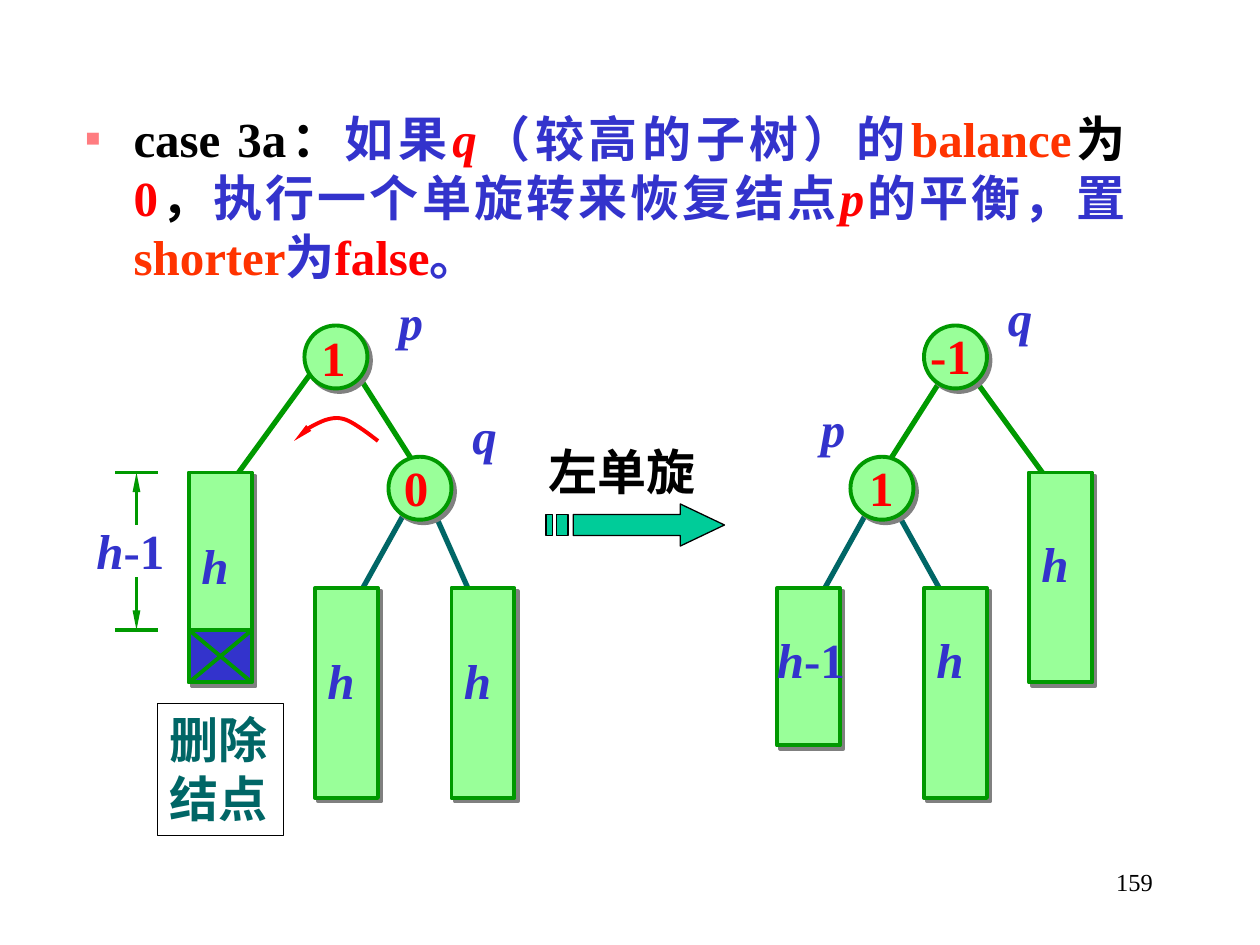
from lxml.etree import SubElement
from pptx import Presentation
from pptx.dml.color import RGBColor
from pptx.enum.shapes import MSO_CONNECTOR, MSO_SHAPE
from pptx.enum.text import MSO_ANCHOR, MSO_AUTO_SIZE, PP_ALIGN
from pptx.oxml.ns import qn
from pptx.util import Inches, Pt

COLORS = {
    "black": "000000", "blue": "3333CC", "red": "FF0000", "orange": "FF3300",
    "teal": "006666", "green": "009900", "leaf": "99FF99", "arrow": "00CC99",
    "bullet": "FF7C80", "shadow": "808080",
}
FONT = "Times New Roman"
NODE = 6  # width of nodes and subtrees in grid cells


def cell(count):
    """Length of a number of grid cells, twelve to the inch."""
    return Inches(count / 12)


def color(name):
    return RGBColor.from_string(COLORS[name])


def add_run(para, text, tint, italic=False, bold=True, size=28):
    span = para.add_run()
    span.text = text
    font = span.font
    font.name, font.size, font.bold, font.italic = FONT, Pt(size), bold, italic
    font.color.rgb = color(tint)


def style_line(line, tint, width):
    line.color.rgb = color(tint)
    line.width = Pt(width)


def add_arrowhead(shape, end):
    outline = shape.line._get_or_add_ln()
    SubElement(outline, qn(f"a:{end}"), type="triangle", w="sm", len="lg")


def add_line(slide, start, finish, tint="green", width=2.25, end=None):
    line = slide.shapes.add_connector(
        MSO_CONNECTOR.STRAIGHT, *map(cell, start + finish))
    style_line(line.line, tint, width)
    SubElement(line._element.spPr, qn("a:effectLst"))
    if end:
        add_arrowhead(line, end)


def add_block(slide, kind, left, top, height, fill="leaf"):
    block = slide.shapes.add_shape(
        kind, cell(left), cell(top), cell(NODE), cell(height))
    block.fill.solid()
    block.fill.fore_color.rgb = color(fill)
    style_line(block.line, "green", 2.25)
    # Solid shadow to the lower right
    block.shadow.inherit = False
    effects = block._element.spPr.find(qn("a:effectLst"))
    shadow = SubElement(effects, qn("a:outerShdw"), dist=str(Pt(2.8)),
                        dir=str(45 * 60000), algn="ctr", rotWithShape="0")
    SubElement(shadow, qn("a:srgbClr"), val=COLORS["shadow"])


def add_label(slide, left, top, width, runs, height=6.8, wrap=True):
    box = slide.shapes.add_textbox(
        cell(left), cell(top), cell(width), cell(height))
    frame = box.text_frame
    frame.word_wrap = wrap
    frame.auto_size = MSO_AUTO_SIZE.SHAPE_TO_FIT_TEXT
    for run in runs:
        add_run(frame.paragraphs[0], *run)
    return box


def add_outline(slide, contours, closed):
    """Freeform through one or more contours given in grid cells."""
    builder = None
    for contour in contours:
        points = [(cell(x), cell(y)) for x, y in contour]
        if builder is None:
            builder = slide.shapes.build_freeform(*points[0])
        else:
            builder.move_to(*points[0])
        builder.add_line_segments(points[1:], close=closed)
    shape = builder.convert_to_shape()
    shape.shadow.inherit = False
    return shape


def curve_points(controls, steps=8):
    """Sample a chain of cubic curves."""
    points = [controls[0]]
    for first in range(0, len(controls) - 1, 3):
        a, b, c, d = controls[first:first + 4]
        for step in range(1, steps + 1):
            t = step / steps
            u = 1 - t
            points.append(tuple(
                u**3 * a[i] + 3 * u * u * t * b[i] + 3 * u * t * t * c[i] + t**3 * d[i]
                for i in (0, 1)))
    return points


def add_statement(slide):
    slide.shapes.title._element.getparent().remove(slide.shapes.title._element)
    body = slide.placeholders[1]
    body.left, body.top, body.width, body.height = map(
        Inches, (0.58, 0.81, 8.45, 1.51))
    frame = body.text_frame
    frame.auto_size = MSO_AUTO_SIZE.NONE
    frame.vertical_anchor = MSO_ANCHOR.TOP
    para = frame.paragraphs[0]
    para.alignment = PP_ALIGN.JUSTIFY
    para.space_before = Pt(0)
    # Square bullet with a hanging indent
    settings = para._p.get_or_add_pPr()
    settings.set("marL", str(Inches(0.38)))
    settings.set("indent", str(Inches(-0.38)))
    SubElement(SubElement(settings, qn("a:buClr")), qn("a:srgbClr"),
               val=COLORS["bullet"])
    SubElement(settings, qn("a:buSzPct"), val="50000")
    SubElement(settings, qn("a:buChar"), char="■")
    for run in [
        ("case 3a：", "black"), ("如果", "blue"), ("q", "red", True),
        ("（较高的子树）的", "blue"), ("balance", "orange"), ("为", "black"),
        ("0", "red"), ("，", "black"), ("执行一个单旋转来恢复结点", "blue"),
        ("p", "red", True), ("的平衡，置", "blue"), ("shorter", "orange"),
        ("为", "blue"), ("false", "red"), ("。", "blue"),
    ]:
        add_run(para, *run)


def add_tree(slide, edges, subtrees, nodes, names):
    for start, finish, tint in edges:
        add_line(slide, start, finish, tint, 3)
    for left, top, height in subtrees:
        add_block(slide, MSO_SHAPE.RECTANGLE, left, top, height)
    for left, top, balance, text_left, text_top in nodes:
        add_block(slide, MSO_SHAPE.OVAL, left, top, NODE)
        add_label(slide, text_left, text_top, 5 + 2 * len(balance),
                  [(balance, "red")])
    for left, top, name in names:
        add_label(slide, left, top, 6.2, [(name, "blue", True)])


def add_height(slide, left, top, suffix=""):
    runs = [("h", "blue", True)] + ([(suffix, "blue")] if suffix else [])
    add_label(slide, left, top, 10 if suffix else 5, runs)


def add_deletion(slide):
    # Crossed-out part of the left subtree
    add_block(slide, MSO_SHAPE.RECTANGLE, 18, 60, 5, "blue")
    add_line(slide, (24, 60), (18, 65))
    add_line(slide, (18, 60), (24, 65))
    # Height marker
    for level in (45, 60):
        add_line(slide, (11, level), (15, level))
    add_line(slide, (13, 45), (13, 50), end="headEnd")
    add_line(slide, (13, 55), (13, 60), end="tailEnd")
    note = add_label(slide, 15, 67, 12, [("删除结点", "teal")], 12.6)
    style_line(note.line, "black", 0.75)


def add_rotation(slide):
    head = [(64.8, 48), (64.8, 49), (54.6, 49), (54.6, 51),
            (64.8, 51), (64.8, 52), (69, 50)]
    stripes = [[(a, 49), (a, 51), (b, 51), (b, 49)]
               for a, b in ((53, 54.1), (52, 52.6))]
    arrow = add_outline(slide, [head] + stripes, True)
    arrow.fill.solid()
    arrow.fill.fore_color.rgb = color("arrow")
    style_line(arrow.line, "black", 0.75)
    add_label(slide, 51.1, 41.5, 16.4, [("左单旋", "black")], wrap=False)
    # Curved turn arrow under the root
    turn = add_outline(slide, [curve_points([
        (28, 42), (28.2, 41.6), (28.6, 41.3), (29, 41), (29.5, 40.7),
        (30.4, 40.2), (31, 40), (31.7, 39.8), (32.2, 39.7), (33, 40),
        (33.8, 40.3), (35.5, 41.6), (36, 42)])], False)
    turn.fill.background()
    style_line(turn.line, "red", 2.25)
    add_arrowhead(turn, "headEnd")


def main():
    deck = Presentation()
    deck.slide_width, deck.slide_height = Inches(10), Inches(7.5)
    slide = deck.slides.add_slide(deck.slide_layouts[1])
    add_statement(slide)

    # Tree before the rotation
    add_tree(slide,
             [((41, 48), (45, 57), "teal"), ((39, 48), (34, 57), "teal"),
              ((33, 34), (40, 45), "green"), ((30, 35), (22, 46), "green")],
             [(18, 45, 20), (30, 56, 20), (43, 56, 20)],
             [(29, 31, "1", 29.4, 30.6), (37, 43.5, "0", 37.3, 43)],
             [(36.8, 27.2, "p"), (43.8, 38, "q")])
    add_deletion(slide)

    # Tree after the rotation
    add_tree(slide,
             [((83, 48), (78, 57), "teal"), ((85, 48), (90, 57), "teal"),
              ((91, 34), (84, 45), "green"), ((92, 35), (100, 46), "green")],
             [(74, 56, 15), (88, 56, 20), (98, 45, 20)],
             [(88, 31, "-1", 87.4, 30.4), (81, 43.5, "1", 81.6, 43)],
             [(94.8, 26.8, "q"), (77, 37.4, "p")])

    # Subtree heights
    for left, top in ((18, 50.4), (30, 61.4), (43, 61.4), (88, 59.4), (98, 50.2)):
        add_height(slide, left, top)
    for left, top in ((8, 49), (72.8, 59.4)):
        add_height(slide, left, top, "-1")
    add_rotation(slide)

    # Page number
    number = add_label(slide, 86, 82, 25, [("159", "black", False, False, 14)], 6)
    number.text_frame.auto_size = MSO_AUTO_SIZE.NONE
    number.text_frame.paragraphs[0].alignment = PP_ALIGN.RIGHT
    deck.save("out.pptx")


if __name__ == "__main__":
    main()
